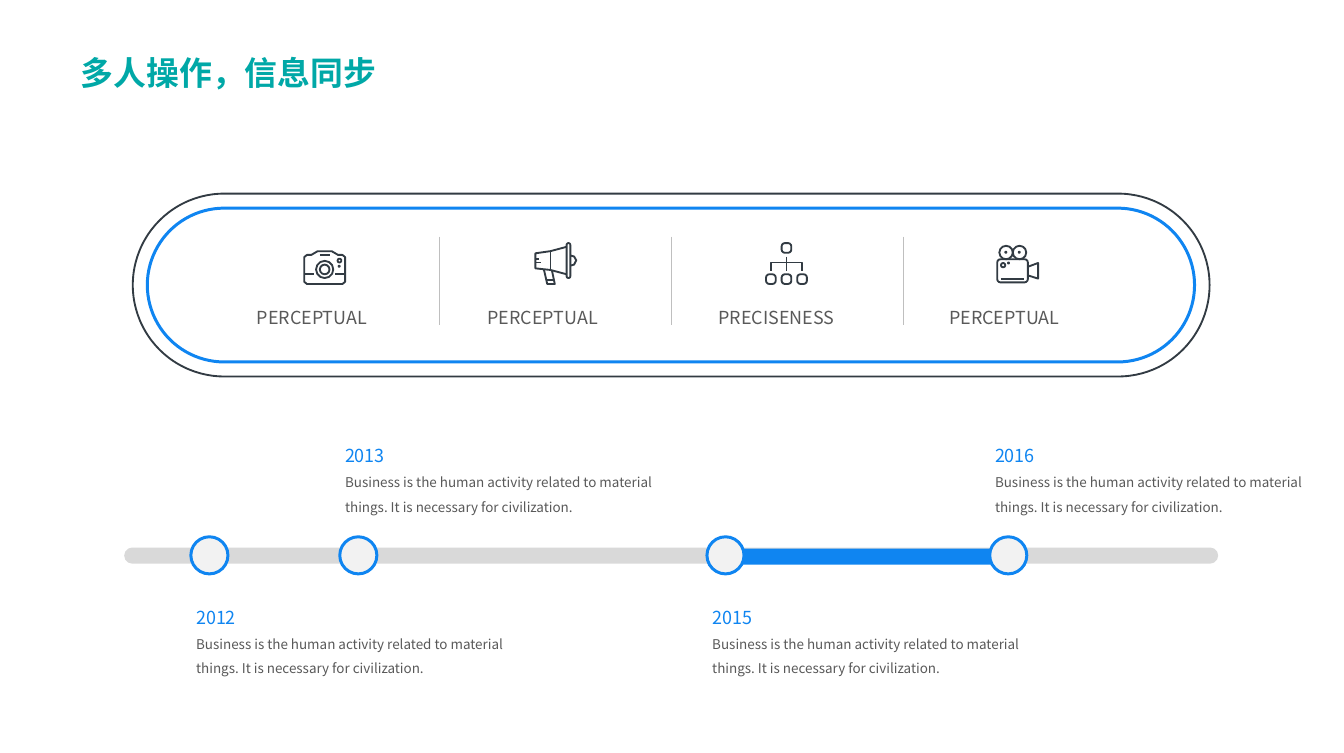
from math import cos, radians, sin

from lxml import etree
from pptx import Presentation
from pptx.dml.color import RGBColor
from pptx.enum import shapes, text
from pptx.oxml.ns import qn
from pptx.util import Inches, Pt

TEAL = RGBColor(0x00, 0xA8, 0xA7)
BLUE = RGBColor(0x0F, 0x85, 0xF1)
DARK = RGBColor(0x32, 0x3B, 0x43)
GREY_TEXT = RGBColor(0x59, 0x59, 0x59)
BAR_GREY = RGBColor(0xD9, 0xD9, 0xD9)
DIVIDER_GREY = RGBColor(0xBF, 0xBF, 0xBF)
DOT_GREY = RGBColor(0xF2, 0xF2, 0xF2)
FONT = "Noto Sans CJK SC"
ROUND = shapes.MSO_SHAPE.ROUNDED_RECTANGLE
OVAL = shapes.MSO_SHAPE.OVAL

deck = Presentation()
deck.slide_width, deck.slide_height = Inches(25), Inches(14)
page = deck.slides.add_slide(deck.slide_layouts[5])


def add_outline(preset, area, fill=None, line=None, width=4):
    shape = page.shapes.add_shape(preset, *[Inches(value) for value in area])
    shape.shadow.inherit = False
    if preset == ROUND:
        shape.adjustments[0] = 0.5
    if fill is None:
        shape.fill.background()
    else:
        shape.fill.solid()
        shape.fill.fore_color.rgb = fill
    if line is None:
        shape.line.fill.background()
    else:
        shape.line.color.rgb = line
        shape.line.width = Pt(width)


def write(box, lines, spacing=1.5, bold=False):
    """Fill a box with one paragraph for each (wording, size, colour)."""
    frame = box.text_frame
    frame.word_wrap = True
    frame.auto_size = text.MSO_AUTO_SIZE.NONE
    frame.vertical_anchor = text.MSO_ANCHOR.TOP
    for index, (wording, size, colour) in enumerate(lines):
        para = frame.add_paragraph() if index else frame.paragraphs[0]
        para.alignment = text.PP_ALIGN.LEFT
        para.line_spacing = spacing
        span = para.add_run()
        span.text = wording
        span.font.name = FONT
        span.font.size = Pt(size)
        span.font.bold = bold
        span.font.color.rgb = colour
        east_asian = etree.SubElement(span.font._element, qn("a:ea"))
        east_asian.set("typeface", FONT)


title = page.shapes.title
title.left, title.top = Inches(1.4), Inches(0.57)
title.width, title.height = Inches(9.48), Inches(1.21)
write(title, [("多人操作，信息同步", 44, TEAL)], bold=True)

# Timeline
add_outline(ROUND, (2.31, 10.18, 20.35, 0.3), fill=BAR_GREY)
add_outline(ROUND, (13.59, 10.2, 5, 0.3), fill=BLUE)
milestones = [("2012", 3.55, 11.02), ("2013", 6.32, 8.02),
              ("2015", 13.15, 11.02), ("2016", 18.41, 8.02)]
for year, left, top in milestones:
    add_outline(OVAL, (left, 9.98, 0.69, 0.69), DOT_GREY, BLUE)
    box = page.shapes.add_textbox(Inches(left), Inches(top), Inches(5.95), Inches(1.62))
    write(box, [
        (year, 24, BLUE),
        ("Business is the human activity related to material things. "
         "It is necessary for civilization.", 18, GREY_TEXT),
    ])

# Capsule with four labels
add_outline(ROUND, (2.47, 3.6, 20.03, 3.4), line=DARK, width=2.5)
add_outline(ROUND, (2.74, 3.87, 19.48, 2.86), line=BLUE)
for index, label in enumerate(["PERCEPTUAL", "PERCEPTUAL", "PRECISENESS", "PERCEPTUAL"]):
    box = page.shapes.add_textbox(
        Inches(4.68 + 4.293 * index), Inches(5.65), Inches(2.73), Inches(0.5))
    write(box, [(label, 24, GREY_TEXT)], spacing=1)
for x in (8.17, 12.48, 16.8):
    divider = page.shapes.add_connector(
        shapes.MSO_CONNECTOR.STRAIGHT, Inches(x), Inches(4.4), Inches(x), Inches(6.05))
    divider.line.color.rgb = DIVIDER_GREY
    divider.line.width = Pt(0.75)
    etree.SubElement(divider._element.spPr, qn("a:effectLst"))

# Each icon: rounded contours (left, top, width, height, radius), then open strokes
film_camera = (
    [(18.59, 4.57, 0.25, 0.25, 0.125), (18.84, 4.57, 0.25, 0.25, 0.125),
     (18.7, 4.68, 0.02, 0.02, 0.01), (18.95, 4.68, 0.02, 0.02, 0.01),
     (18.62, 4.89, 0.08, 0.08, 0.04), (18.75, 4.88, 0.02, 0.02, 0.01),
     (18.55, 4.82, 0.57, 0.43, 0.06)],
    [[(19.12, 4.96), (19.31, 4.89), (19.31, 5.18), (19.12, 5.12)],
     [(18.62, 5.18), (19.05, 5.18)]])
photo_camera = (
    [(5.88, 4.85, 0.32, 0.32, 0.16), (5.95, 4.92, 0.18, 0.18, 0.09),
     (6.28, 4.81, 0.07, 0.07, 0.035), (6.3, 4.94, 0.02, 0.02, 0.01)],
    [[(5.66, 4.78), (5.71, 4.74), (5.79, 4.74), (5.91, 4.67), (6.17, 4.67),
      (6.29, 4.74), (6.37, 4.74), (6.42, 4.78), (6.42, 5.24), (6.37, 5.28),
      (5.71, 5.28), (5.66, 5.24), (5.66, 4.78)],
     [(5.66, 5.1), (5.85, 5.1)], [(6.24, 5.1), (6.42, 5.1)], [(5.95, 4.74), (6.13, 4.74)]])
megaphone = (
    [(10.54, 4.52, 0.07, 0.65, 0.035)],
    [[(10.54, 4.59), (10.24, 4.67), (9.96, 4.71), (9.96, 4.99), (10.24, 5.02), (10.54, 5.1)],
     [(10.12, 5.02), (10.18, 5.28), (10.32, 5.28), (10.27, 5.04)],
     [(10.61, 4.75), (10.68, 4.77), (10.72, 4.84), (10.68, 4.92), (10.61, 4.94)],
     [(10.24, 4.67), (10.24, 5.02)], [(9.96, 4.81), (10.03, 4.81)],
     [(9.96, 4.88), (10.06, 4.88)], [(10.17, 5.21), (10.3, 5.21)]])
tree = (
    [(left, top, 0.18, 0.18, 0.06)
     for left, top in [(14.54, 4.52), (14.25, 5.1), (14.54, 5.1), (14.83, 5.1)]],
    [[(14.34, 5.03), (14.34, 4.88), (14.92, 4.88), (14.92, 5.03)],
     [(14.63, 4.77), (14.63, 5.03)]])

for rounded, strokes in (film_camera, photo_camera, megaphone, tree):
    contours = [(stroke, False) for stroke in strokes]
    for left, top, width, height, radius in rounded:
        corners = []
        for angle in range(0, 360, 90):
            x = left + (width - radius if angle in (0, 270) else radius)
            y = top + (height - radius if angle in (0, 90) else radius)
            corners += [(x + radius * cos(radians(angle + step)),
                         y + radius * sin(radians(angle + step))) for step in (0, 30, 60, 90)]
        contours.append((corners, True))
    builder = None
    for corners, closed in contours:
        start, *rest = [(Inches(x), Inches(y)) for x, y in corners]
        if builder is None:
            builder = page.shapes.build_freeform(*start)
        else:
            builder.move_to(*start)
        builder.add_line_segments(rest, close=closed)
    icon = builder.convert_to_shape()
    icon.shadow.inherit = False
    icon.fill.background()
    icon.line.color.rgb = DARK
    icon.line.width = Pt(2.5)

deck.save("out.pptx")
